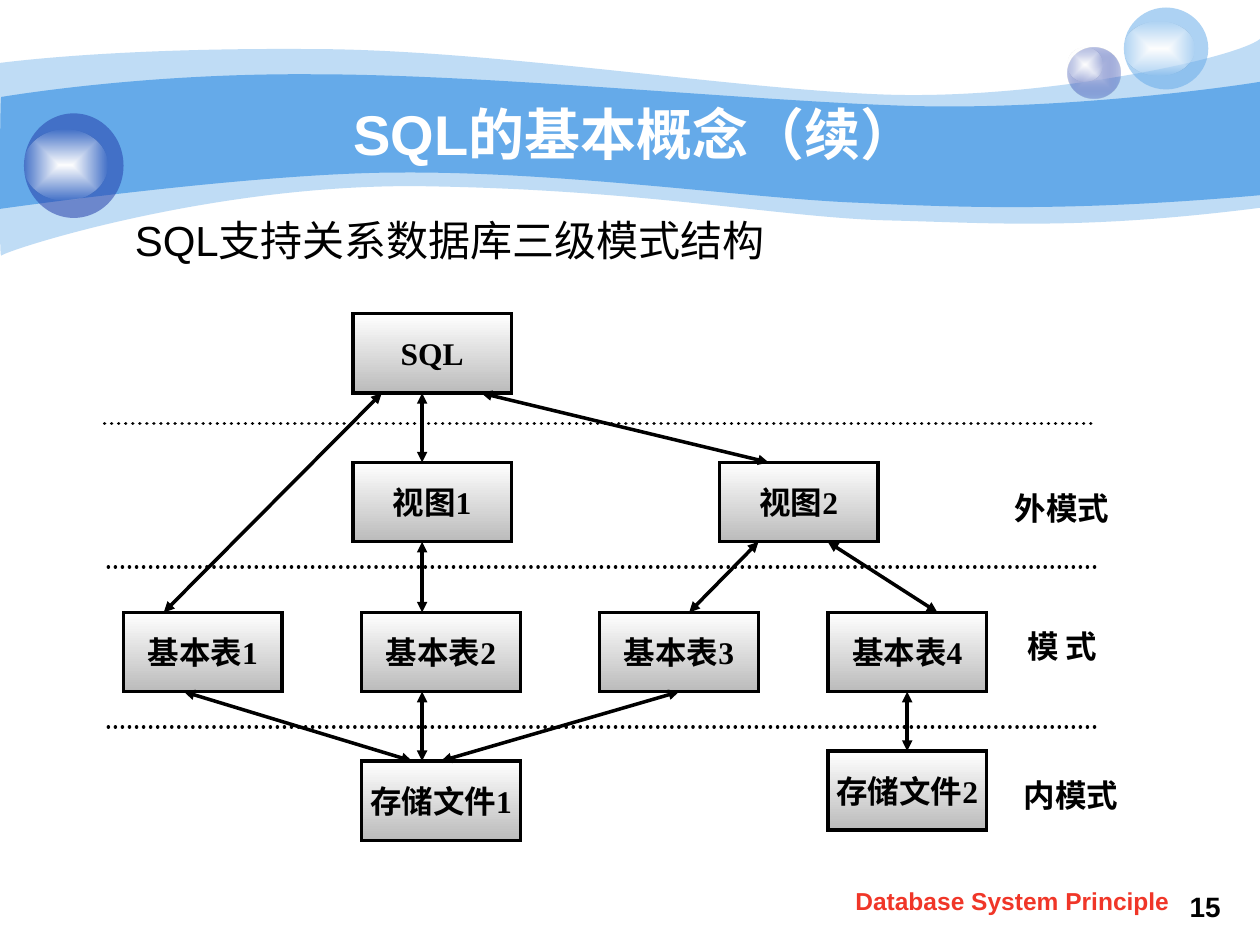
from lxml.etree import SubElement
from pptx import Presentation
from pptx.dml.color import RGBColor
from pptx.enum.dml import MSO_LINE_DASH_STYLE as Dash
from pptx.enum.shapes import MSO_CONNECTOR as Connector, MSO_SHAPE as Shape
from pptx.enum.text import MSO_ANCHOR as Anchor, MSO_AUTO_SIZE as AutoSize, PP_ALIGN as Align
from pptx.oxml.ns import qn
from pptx.util import Pt

PX = 9144
COLORS = {
    "sky": "65AAE9", "navy": "233DA9", "lavender": "C7CEE9", "white": "FFFFFF",
    "gray": "BBBBBB", "black": "000000", "red": "F03628",
}
NODE_SIZE = (126, 63)
NODES = {
    "SQL": (197, 0), "视图1": (197, 118), "视图2": (488, 118),
    "基本表1": (15, 237), "基本表2": (204, 237), "基本表3": (393, 237), "基本表4": (574, 237),
    "存储文件1": (204, 355), "存储文件2": (574, 347),
}
LINKS = [
    ("SQL", 23, "基本表1", 32), ("SQL", 55, "视图1", 55), ("SQL", 102, "视图2", 39),
    ("视图1", 55, "基本表2", 48), ("视图2", 31, "基本表3", 71), ("视图2", 86, "基本表4", 87),
    ("基本表1", 48, "存储文件1", 40), ("基本表2", 48, "存储文件1", 48),
    ("基本表3", 63, "存储文件1", 63), ("基本表4", 63, "存储文件2", 63),
]
DIVIDERS = [(0, 87), (3, 201), (3, 328)]
LEVELS = {"外模式": (701, 134), "模 式": (701, 244), "内模式": (708, 362)}
OUTER_WAVE = [
    [(0, 50)],
    [(24, 47), (107, 38), (247, 39)],
    [(386, 39), (575, 70), (699, 75)],
    [(822, 80), (980, 47), (1000, 31)],
    [(1000, 165)],
    [(858, 183), (787, 177), (705, 175)],
    [(622, 173), (515, 151), (343, 148)],
    [(172, 144), (4, 199), (1, 203)],
    [(-1, 208), (0, 75), (0, 50)],
]
INNER_WAVE = [
    [(1, 77)],
    [(2, 77), (110, 58), (248, 59)],
    [(386, 59), (595, 80), (718, 84)],
    [(841, 88), (976, 69), (1000, 65)],
    [(1000, 155)],
    [(853, 168), (765, 165), (682, 161)],
    [(599, 158), (447, 136), (317, 137)],
    [(203, 137), (-2, 166), (-1, 166)],
    [(0, 166), (0, 77), (1, 77)],
]


def emu(*lengths):
    return [round(length * PX) for length in lengths]


def color(name):
    return RGBColor.from_string(COLORS[name])


def set_solid(shape, name, opacity=100):
    shape.fill.solid()
    shape.fill.fore_color.rgb = color(name)
    if opacity < 100:
        value = shape.element.spPr.find(qn("a:solidFill"))[0]
        SubElement(value, qn("a:alpha"), val=str(opacity * 1000))


def set_gradient(shape, start, end, end_opacity=100, centered=False):
    shape.fill.gradient()
    gradient = shape.element.spPr.find(qn("a:gradFill"))
    for child in list(gradient):
        gradient.remove(child)
    stops = SubElement(gradient, qn("a:gsLst"))
    for position, name, opacity in ((0, start, 100), (100, end, end_opacity)):
        stop = SubElement(stops, qn("a:gs"), pos=str(position * 1000))
        value = SubElement(stop, qn("a:srgbClr"), val=COLORS[name])
        if opacity < 100:
            SubElement(value, qn("a:alpha"), val=str(opacity * 1000))
    if centered:
        focus = SubElement(gradient, qn("a:path"), {"path": "rect"})
        SubElement(focus, qn("a:fillToRect"), dict.fromkeys("ltrb", "50000"))
    else:
        SubElement(gradient, qn("a:lin"), ang="5400000", scaled="1")


def write(shape, text, size, font="Arial", name="black", bold=True, wrap=True):
    frame = shape.text_frame
    frame.word_wrap = wrap
    frame.auto_size = AutoSize.NONE
    frame.text = text
    paragraph = frame.paragraphs[0]
    paragraph.alignment = Align.CENTER
    paragraph.font.size = Pt(size)
    paragraph.font.name = font
    paragraph.font.bold = bold
    paragraph.font.color.rgb = color(name)
    return paragraph


def add_text(slide, box, text, size, **style):
    return write(slide.shapes.add_textbox(*emu(*box)), text, size, **style)


def add_plain_shape(slide, kind, box):
    shape = slide.shapes.add_shape(kind, *emu(*box))
    shape.shadow.inherit = False
    shape.line.fill.background()
    return shape


def add_line(slide, start, end):
    line = slide.shapes.add_connector(Connector.STRAIGHT, *emu(*start, *end))
    SubElement(line.element.spPr, qn("a:effectLst"))
    line.line.color.rgb = color("black")
    line.line.width = Pt(2)
    return line


def add_wave(slide, origin, segments, opacity):
    left, top = origin
    points = [emu(left + x, top + y) for segment in segments for x, y in segment]
    builder = slide.shapes.build_freeform(*points[0])
    builder.add_line_segments(points[1:], close=True)
    wave = builder.convert_to_shape()
    wave.shadow.inherit = False
    wave.line.fill.background()
    set_solid(wave, "sky", opacity)
    lines = iter(list(wave.element.iter(qn("a:lnTo"))))
    for segment in segments[1:]:
        first, *others = [next(lines) for _ in segment]
        if others:
            first.tag = qn("a:cubicBezTo")
            for other in others:
                first.append(other[0])
                other.getparent().remove(other)


def add_header(slide, box):
    left, top = box[:2]
    add_wave(slide, (left, top), OUTER_WAVE, 41)
    add_wave(slide, (left, top), INNER_WAVE, 100)
    spheres = [
        ((847, 38, 42, 40), (847, 38, 28, 27), "lavender"),
        ((892, 6, 67, 65), (892, 17, 56, 43), "sky"),
        ((19, 90, 79, 83), (19, 103, 66, 56), "navy"),
    ]
    for body, glow, name in spheres:
        ball, light = (
            add_plain_shape(slide, Shape.OVAL, (left + x, top + y, width, height))
            for x, y, width, height in (body, glow)
        )
        if name == "lavender":
            set_gradient(ball, name, "navy", 31, centered=True)
        else:
            set_solid(ball, name, 53)
        set_gradient(light, "white", "white", 0, centered=True)
    title = slide.shapes.title
    title.left, title.top, title.width, title.height = emu(left + 100, top + 75, 808, 62)
    write(title, "SQL的基本概念（续）", 32, name="white")
    title.text_frame.vertical_anchor = Anchor.MIDDLE
    title.element.getparent().append(title.element)


def add_diagram(slide, box):
    left, top, width, _ = box
    node_height = NODE_SIZE[1]
    for text, (x, y) in NODES.items():
        node = add_plain_shape(slide, Shape.RECTANGLE, (left + x, top + y, *NODE_SIZE))
        set_gradient(node, "white", "gray")
        node.line.color.rgb = color("black")
        node.line.width = Pt(2)
        SubElement(node.element.spPr.find(qn("a:ln")), qn("a:miter"), lim="800000")
        write(node, text, 18, font="Times New Roman", wrap=False)
        node.text_frame.vertical_anchor = Anchor.MIDDLE
    for upper, upper_x, lower, lower_x in LINKS:
        (x1, y1), (x2, y2) = NODES[upper], NODES[lower]
        link = add_line(slide, (left + x1 + upper_x, top + y1 + node_height),
                        (left + x2 + lower_x, top + y2))
        outline = link.element.spPr.find(qn("a:ln"))
        for end in ("a:headEnd", "a:tailEnd"):
            SubElement(outline, qn(end), type="triangle")
    for x, y in DIVIDERS:
        divider = add_line(slide, (left + x, top + y), (left + x + width, top + y))
        divider.line.dash_style = Dash.ROUND_DOT
        divider.element.spPr.find(qn("a:ln")).set("cap", "rnd")
    for text, (x, y) in LEVELS.items():
        add_text(slide, (left + x, top + y, 118, 40), text, 18, font="Times New Roman")


def add_footer(slide, box):
    left, top = box[:2]
    add_text(slide, (left + 283, top + 3, 63, 37), "15", 16)
    add_text(slide, (left, top, 323, 35), "Database System Principle", 14, name="red")


def main():
    presentation = Presentation()
    presentation.slide_width, presentation.slide_height = emu(1000, 750)
    slide = presentation.slides.add_slide(presentation.slide_layouts[5])
    add_header(slide, (0, 0, 1000, 208))
    add_diagram(slide, (83, 249, 788, 418))
    lead = add_text(slide, (93, 149, 528, 66), "SQL支持关系数据库三级模式结构", 24, bold=False, wrap=False)
    lead.line_spacing = 1.4
    add_footer(slide, (642, 698, 346, 40))
    presentation.save("out.pptx")


if __name__ == "__main__":
    main()
